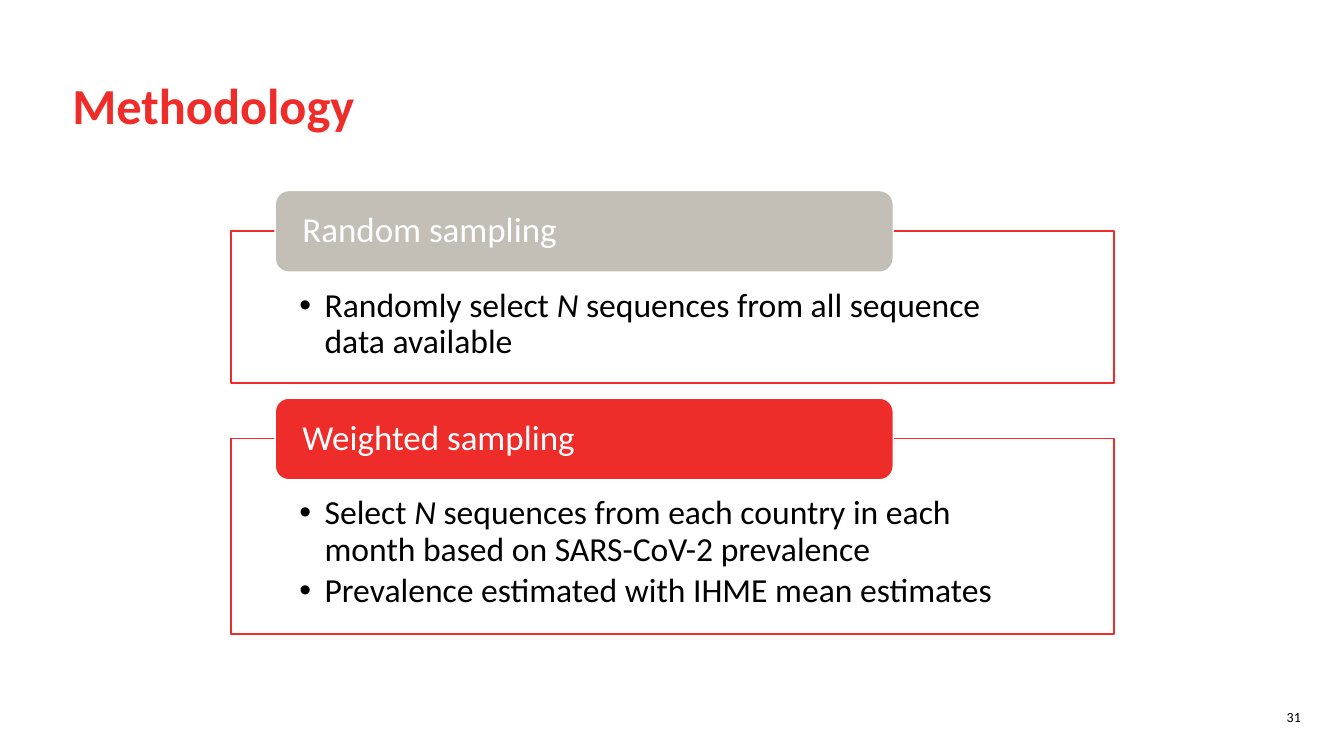
from dataclasses import dataclass

from lxml import etree
from pptx import Presentation
from pptx.dml.color import RGBColor
from pptx.enum.shapes import MSO_SHAPE
from pptx.enum.text import MSO_ANCHOR, PP_ALIGN
from pptx.oxml.ns import qn
from pptx.util import Inches, Pt

RECTANGLE = MSO_SHAPE.RECTANGLE
ROUNDED = MSO_SHAPE.ROUNDED_RECTANGLE
TOP, MIDDLE = MSO_ANCHOR.TOP, MSO_ANCHOR.MIDDLE
LEFT, RIGHT = PP_ALIGN.LEFT, PP_ALIGN.RIGHT


@dataclass(frozen=True)
class Theme:
    font: str = "Calibri"
    red: RGBColor = RGBColor(0xEE, 0x2C, 0x2A)
    grey: RGBColor = RGBColor(0xC3, 0xBF, 0xB6)
    white: RGBColor = RGBColor(0xFF, 0xFF, 0xFF)
    black: RGBColor = RGBColor(0, 0, 0)
    title_size: int = 36
    heading_size: int = 25
    body_size: int = 24
    number_size: int = 10


theme = Theme()


def style_text(paragraph, size, color, align=LEFT, bold=False):
    paragraph.alignment = align
    for span in paragraph.runs:
        span.font.name = theme.font
        span.font.size = Pt(size)
        span.font.color.rgb = color
        span.font.bold = bold


def add_panel(page, kind, area, fill, line, anchor, insets):
    panel = page.shapes.add_shape(kind, *[Inches(value) for value in area])
    panel.shadow.inherit = False
    panel.fill.solid()
    panel.fill.fore_color.rgb = fill
    panel.line.color.rgb = line
    panel.line.width = Pt(1)
    frame = panel.text_frame
    frame.word_wrap = True
    frame.vertical_anchor = anchor
    frame.margin_left = frame.margin_right = Inches(insets[0])
    frame.margin_top, frame.margin_bottom = Inches(insets[1]), Inches(insets[2])
    return frame


deck = Presentation()
deck.slide_width, deck.slide_height = Inches(13.33), Inches(7.5)
page = deck.slides.add_slide(deck.slide_layouts[6])

title = page.shapes.add_textbox(Inches(0.62), Inches(0.51), Inches(10.63), Inches(1.13))
title.text_frame.word_wrap = True
title.text_frame.vertical_anchor = MIDDLE
title.text_frame.text = "Methodology"
title.text_frame.paragraphs[0].line_spacing = Pt(38)
style_text(title.text_frame.paragraphs[0], theme.title_size, theme.red, bold=True)

number = page.shapes.add_textbox(Inches(10), Inches(6.98), Inches(3), Inches(0.4))
number.text_frame.word_wrap = True
number.text_frame.text = "31"
style_text(number.text_frame.paragraphs[0], theme.number_size, theme.black, RIGHT)

methods = [
    ("Random sampling", theme.grey, 2.29, 1.51, [
        ("Randomly select ", "N ", "sequences from all sequence data available"),
    ]),
    ("Weighted sampling", theme.red, 4.35, 1.94, [
        ("Select ", "N ", "sequences from each country in each month based on SARS-CoV-2 prevalence"),
        ("Prevalence estimated with IHME mean estimates",),
    ]),
]

for heading, color, top, height, points in methods:
    body = add_panel(page, RECTANGLE, (2.29, top, 8.76, height),
                     theme.white, theme.red, TOP, (0.68, 0.57, 0.19))
    for index, spans in enumerate(points):
        para = body.add_paragraph() if index else body.paragraphs[0]
        for text in spans:
            span = para.add_run()
            span.text = text
            span.font.italic = text == "N "
        para.line_spacing = 0.9
        para.space_after = Pt(3.6)
        style_text(para, theme.body_size, theme.black)
        properties = para._p.get_or_add_pPr()
        properties.set("marL", str(Inches(0.25)))
        properties.set("indent", str(-Inches(0.25)))
        etree.SubElement(properties, qn("a:buFont")).set("typeface", "Arial")
        etree.SubElement(properties, qn("a:buChar")).set("char", "•")

    tab = add_panel(page, ROUNDED, (2.73, top - 0.4, 6.13, 0.81),
                    color, theme.white, MIDDLE, (0.23, 0, 0))
    tab.text = heading
    tab.paragraphs[0].line_spacing = 0.9
    style_text(tab.paragraphs[0], theme.heading_size, theme.white)

deck.save("out.pptx")
